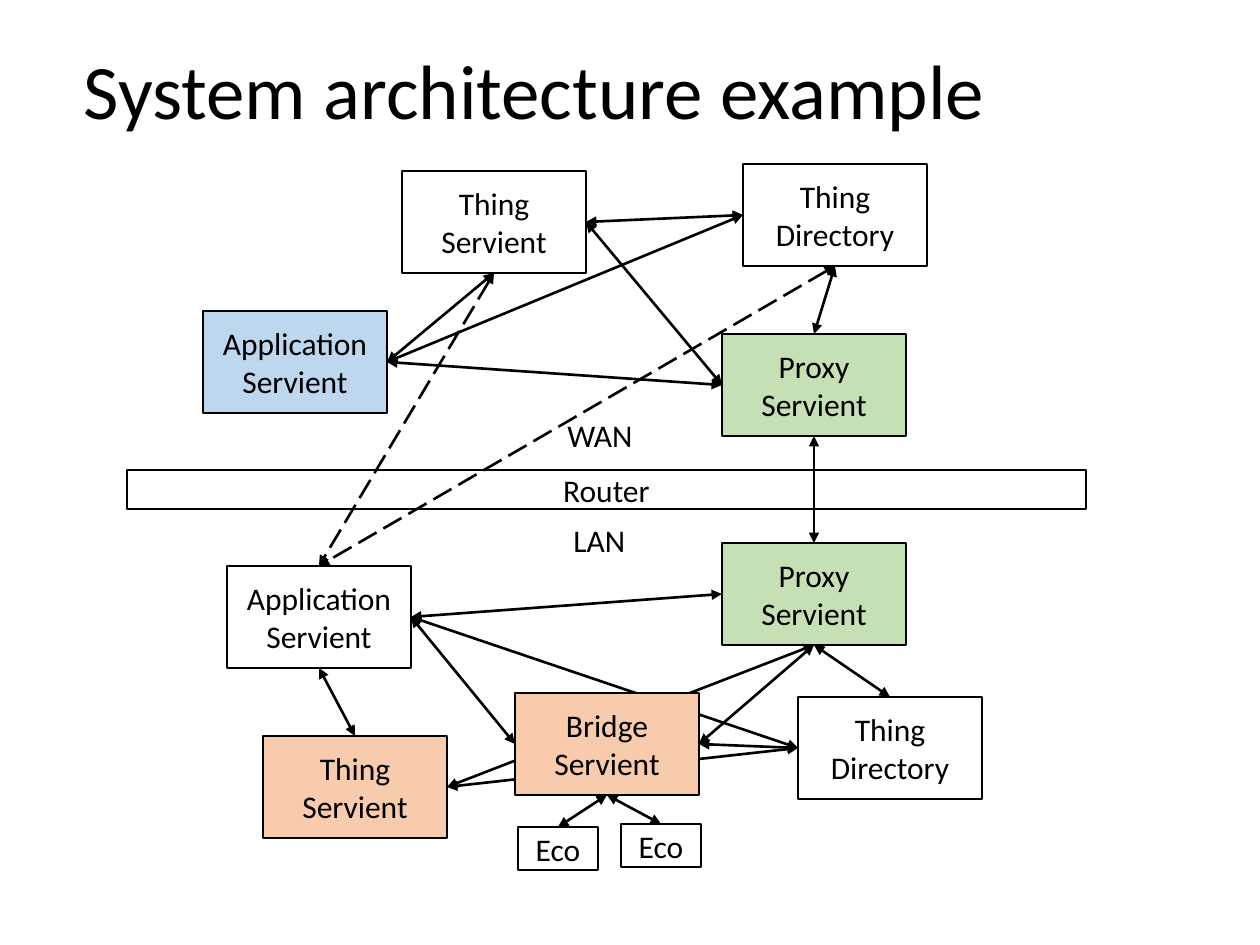
"""Build the system architecture slide: servients on both sides of a router."""
from lxml import etree
from pptx import Presentation
from pptx import util as u
from pptx.dml.color import RGBColor
from pptx.enum import dml, shapes, text
from pptx.oxml.ns import qn

PX = 914400 / 126
BLACK = RGBColor(0x00, 0x00, 0x00)
WHITE = RGBColor(0xFF, 0xFF, 0xFF)
GREEN = RGBColor(0xC5, 0xE0, 0xB4)
ORANGE = RGBColor(0xF8, 0xCB, 0xAD)
BLUE = RGBColor(0xBD, 0xD7, 0xEE)
TOP, LEFT, BOTTOM, RIGHT = range(4)
NODE = (184, 102)
ECO = (80, 43)


def emu(*lengths):
    return [u.Emu(round(length * PX)) for length in lengths]


def write(shape, wording, size, align):
    shape.text_frame.text = wording
    para = shape.text_frame.paragraphs[0]
    para.alignment = align
    font = para.runs[0].font
    font.name, font.size = "Calibri", u.Pt(size)
    font.color.rgb = BLACK


deck = Presentation()
deck.slide_width, deck.slide_height = emu(1260, 945)
page = deck.slides.add_slide(deck.slide_layouts[5])

title = page.shapes.title
title.left, title.top, title.width, title.height = emu(71, 3, 1086, 183)
write(title, "System architecture example", 44, text.PP_ALIGN.LEFT)
title.text_frame.vertical_anchor = text.MSO_ANCHOR.MIDDLE
title.text_frame.paragraphs[0].line_spacing = 0.9

nodes = [
    ("wan proxy", "Proxy Servient", 722, 334, NODE, GREEN, 1),
    ("lan proxy", "Proxy Servient", 722, 543, NODE, GREEN, 1.5),
    ("wan thing", "Thing Servient", 402, 171, NODE, WHITE, 1.5),
    ("lan app", "Application Servient", 227, 566, NODE, None, 1.5),
    ("router", "Router", 127, 470, (959, 39), None, 1.5),
    ("wan directory", "Thing Directory", 743, 164, NODE, WHITE, 1.5),
    ("lan directory", "Thing Directory", 798, 697, NODE, WHITE, 1.5),
    ("lan thing", "Thing Servient", 263, 736, NODE, ORANGE, 1.5),
    ("left eco", "Eco", 518, 827, ECO, None, 1.5),
    ("right eco", "Eco", 621, 824, ECO, None, 1.5),
    ("wan app", "Application Servient", 203, 311, NODE, BLUE, 1.5),
    ("bridge", "Bridge Servient", 515, 693, NODE, ORANGE, 1.5),
]
boxes = {}
for name, wording, left, top, size, fill, weight in nodes:
    box = page.shapes.add_shape(shapes.MSO_SHAPE.RECTANGLE, *emu(left, top, *size))
    box.shadow.inherit = False
    if fill is None:
        box.fill.background()
    else:
        box.fill.solid()
        box.fill.fore_color.rgb = fill
    box.line.color.rgb = BLACK
    box.line.width = u.Pt(weight)
    write(box, wording, 18, text.PP_ALIGN.CENTER)
    box.text_frame.word_wrap = True
    box.text_frame.vertical_anchor = text.MSO_ANCHOR.MIDDLE
    boxes[name] = box

for wording, left, top, width in [("WAN", 555, 410, 98), ("LAN", 561, 515, 86)]:
    label = page.shapes.add_textbox(*emu(left, top, width, 50))
    write(label, wording, 18, text.PP_ALIGN.LEFT)
    label.text_frame.word_wrap = False
    label.text_frame.auto_size = text.MSO_AUTO_SIZE.SHAPE_TO_FIT_TEXT

links = [
    ("wan directory", LEFT, "wan app", RIGHT, False),
    ("wan thing", RIGHT, "wan proxy", LEFT, False),
    ("wan app", RIGHT, "wan proxy", LEFT, False),
    ("wan thing", RIGHT, "wan directory", LEFT, False),
    ("lan app", RIGHT, "lan proxy", LEFT, False),
    ("lan app", RIGHT, "bridge", LEFT, False),
    ("bridge", BOTTOM, "right eco", TOP, False),
    ("bridge", BOTTOM, "left eco", TOP, False),
    ("lan app", RIGHT, "lan directory", LEFT, False),
    ("lan thing", TOP, "lan app", BOTTOM, False),
    ("lan directory", TOP, "lan proxy", BOTTOM, False),
    ("bridge", RIGHT, "lan directory", LEFT, False),
    ("lan thing", RIGHT, "lan directory", LEFT, False),
    ("wan directory", BOTTOM, "wan proxy", TOP, False),
    ("wan thing", BOTTOM, "lan app", TOP, True),
    ("lan proxy", TOP, "wan proxy", BOTTOM, False),
    ("wan directory", BOTTOM, "lan app", TOP, True),
    ("wan thing", BOTTOM, "wan app", RIGHT, False),
    ("bridge", RIGHT, "lan proxy", BOTTOM, False),
    ("lan thing", RIGHT, "lan proxy", BOTTOM, False),
]
for start, start_side, end, end_side, dashed in links:
    link = page.shapes.add_connector(shapes.MSO_CONNECTOR.STRAIGHT, 0, 0, 0, 0)
    link.begin_connect(boxes[start], start_side)
    link.end_connect(boxes[end], end_side)
    link.line.color.rgb = BLACK
    link.line.width = u.Pt(1.5)
    if dashed:
        link.line.dash_style = dml.MSO_LINE.LONG_DASH
    outline = link.line._get_or_add_ln()
    for tip in ("a:headEnd", "a:tailEnd"):
        etree.SubElement(outline, qn(tip), type="triangle")
    etree.SubElement(link._element.spPr, qn("a:effectLst"))

page.shapes._spTree.append(boxes["bridge"]._element)

deck.save("out.pptx")
